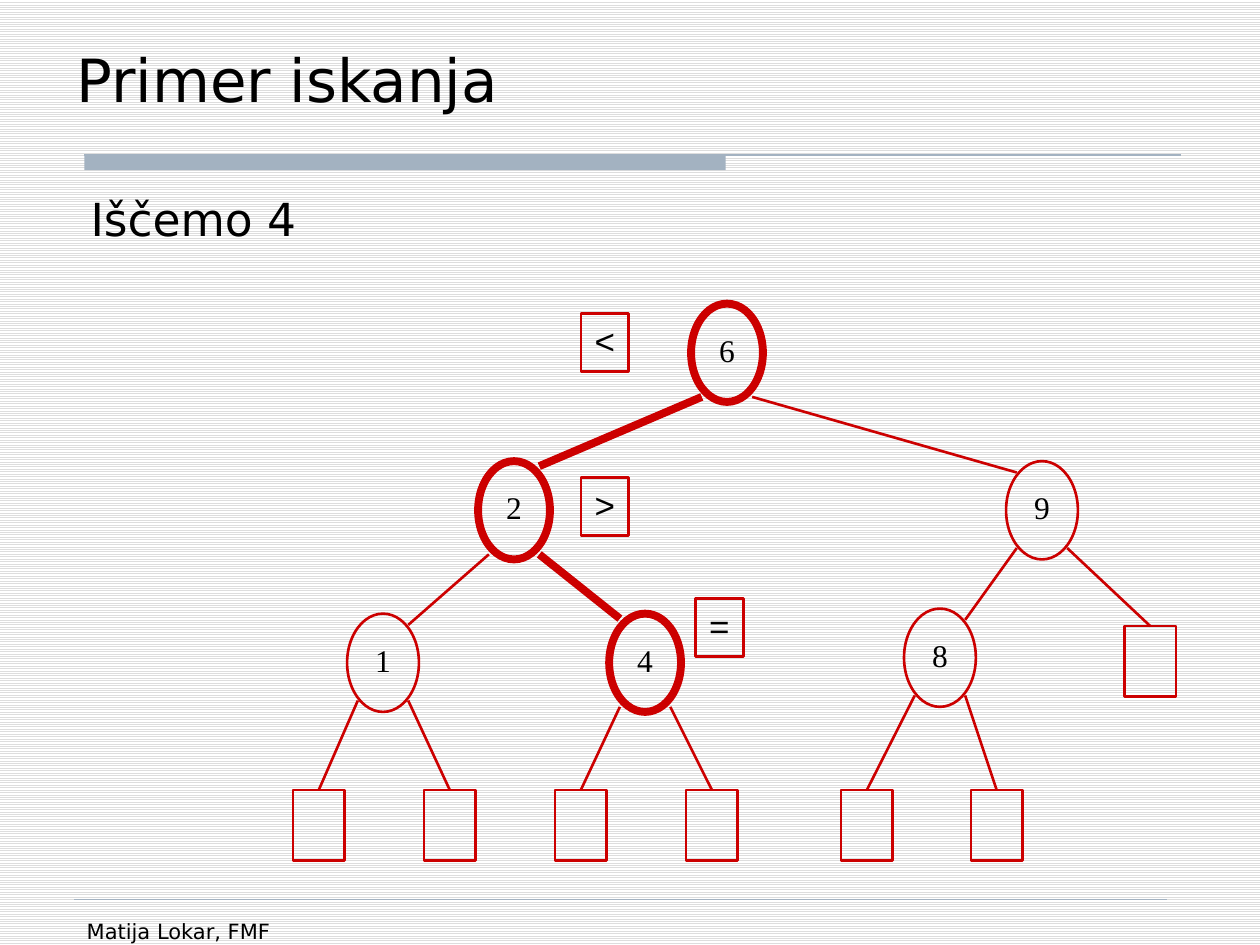
from lxml import etree
from pptx import Presentation
from pptx.dml.color import RGBColor
from pptx.enum.dml import MSO_PATTERN
from pptx.enum.shapes import MSO_CONNECTOR, MSO_SHAPE
from pptx.enum.text import MSO_ANCHOR, MSO_AUTO_SIZE, PP_ALIGN
from pptx.oxml.ns import qn
from pptx.util import Inches, Pt

COLORS = {
    "text": "000000",
    "tree": "CC0000",
    "rule": "A3B2C1",
    "stripe": "DDDDDD",
    "paper": "FFFFFF",
}
NODE_WIDTH, NODE_HEIGHT = 0.57, 0.78
LEAF_WIDTH, LEAF_HEIGHT = 0.41, 0.56
THIN, BOLD = 1.5, 4.5
EDGE_SIDE = 0.2                       # edge end, sideways from the node centre
EDGE_RISE = {THIN: 0.3, BOLD: 0.35}   # edge end, up or down from the node centre

# value: (centre x, centre y, on the search path)
NODES = {
    "6": (5.77, 2.8, True),
    "2": (4.08, 4.05, True),
    "9": (8.27, 4.05, False),
    "1": (3.04, 5.26, False),
    "4": (5.12, 5.26, True),
    "8": (7.46, 5.22, False),
}
# parent, child, side of the parent (-1 left, 1 right)
BRANCHES = [("6", "2", -1), ("6", "9", 1), ("2", "1", -1), ("2", "4", 1), ("9", "8", -1)]
# parent, side, leaf centre x, leaf top
LEAVES = [
    ("1", -1, 2.53, 6.27), ("1", 1, 3.57, 6.27),
    ("4", -1, 4.61, 6.27), ("4", 1, 5.65, 6.27),
    ("8", -1, 6.88, 6.27), ("8", 1, 7.91, 6.27),
    ("9", 1, 9.13, 4.97),
]
# sign, left, top
COMPARISONS = [("<", 4.61, 2.49), (">", 4.61, 3.79), ("=", 5.52, 4.75)]


class SlideBuilder:
    def __init__(self, slide):
        self.slide = slide
        self.shapes = slide.shapes

    def color(self, name):
        return RGBColor.from_string(COLORS[name])

    def background(self):
        fill = self.slide.background.fill
        fill.patterned()
        fill.pattern = MSO_PATTERN.LIGHT_HORIZONTAL
        fill.fore_color.rgb = self.color("stripe")
        fill.back_color.rgb = self.color("paper")

    def add_text(self, frame, text, size, font, align=PP_ALIGN.LEFT):
        paragraph = frame.paragraphs[0]
        paragraph.alignment = align
        run = paragraph.add_run()
        run.text = text
        run.font.size = Pt(size)
        run.font.name = font
        run.font.color.rgb = self.color("text")
        return paragraph

    def text_box(self, left, top, width, height, text, size, anchor=MSO_ANCHOR.TOP):
        box = self.shapes.add_textbox(Inches(left), Inches(top), Inches(width), Inches(height))
        frame = box.text_frame
        frame.word_wrap = True
        frame.vertical_anchor = anchor
        return self.add_text(frame, text, size, "DejaVu Sans")

    def bar(self, left, top, width, height):
        shape = self.shapes.add_shape(
            MSO_SHAPE.RECTANGLE, Inches(left), Inches(top), Inches(width), Inches(height))
        shape.shadow.inherit = False
        shape.fill.solid()
        shape.fill.fore_color.rgb = self.color("rule")
        shape.line.fill.background()

    def outline(self, kind, left, top, width, height, weight=THIN):
        shape = self.shapes.add_shape(
            kind, Inches(left), Inches(top), Inches(width), Inches(height))
        shape.shadow.inherit = False
        shape.fill.background()
        shape.line.color.rgb = self.color("tree")
        shape.line.width = Pt(weight)
        return shape

    def node(self, value, x, y, weight):
        shape = self.outline(MSO_SHAPE.OVAL, x - NODE_WIDTH / 2, y - NODE_HEIGHT / 2,
                             NODE_WIDTH, NODE_HEIGHT, weight)
        frame = shape.text_frame
        frame.margin_left = frame.margin_right = frame.margin_top = 0
        frame.word_wrap = False
        frame.vertical_anchor = MSO_ANCHOR.MIDDLE
        self.add_text(frame, value, 18, "Times New Roman", PP_ALIGN.CENTER)

    def leaf(self, x, top):
        return self.outline(MSO_SHAPE.RECTANGLE, x - LEAF_WIDTH / 2, top,
                            LEAF_WIDTH, LEAF_HEIGHT)

    def comparison(self, sign, left, top):
        frame = self.outline(MSO_SHAPE.RECTANGLE, left, top, 0.38, 0.46).text_frame
        frame.word_wrap = False
        frame.auto_size = MSO_AUTO_SIZE.SHAPE_TO_FIT_TEXT
        frame.vertical_anchor = MSO_ANCHOR.TOP
        self.add_text(frame, sign, 20, "Arial", PP_ALIGN.CENTER)

    def line(self, start, end, color, weight):
        connector = self.shapes.add_connector(
            MSO_CONNECTOR.STRAIGHT, *[Inches(value) for value in (*start, *end)])
        connector.line.color.rgb = self.color(color)
        connector.line.width = Pt(weight)
        properties = connector._element.find(qn("p:spPr"))
        etree.SubElement(properties, qn("a:effectLst"))
        return connector


def node_weight(value):
    return BOLD if NODES[value][2] else THIN


def edge_end(value, side, direction):
    """Point on a node's rim: side -1 left, 1 right; direction -1 up, 1 down."""
    x, y, _ = NODES[value]
    return x + side * EDGE_SIDE, y + direction * EDGE_RISE[node_weight(value)]


def main():
    presentation = Presentation()
    presentation.slide_width, presentation.slide_height = Inches(10), Inches(7.5)
    slide = presentation.slides.add_slide(presentation.slide_layouts[6])
    builder = SlideBuilder(slide)

    # Background and rules
    builder.background()
    builder.bar(0.67, 1.23, 5.09, 0.12)
    builder.line((0.67, 1.23), (9.37, 1.23), "rule", 0.75)
    builder.line((0.59, 7.14), (9.26, 7.14), "rule", 0.25)

    # Title, task and footer
    builder.text_box(0.51, 0.21, 8.75, 0.75, "Primer iskanja", 34, MSO_ANCHOR.BOTTOM)
    task = builder.text_box(0.62, 1.47, 8.75, 5.51, "Iščemo 4", 26)
    task.space_before = Pt(5.2)
    builder.text_box(0.59, 7.24, 2.17, 0.52, "Matija Lokar, FMF", 12)

    # Tree nodes and the branches between them
    for value, (x, y, _) in NODES.items():
        builder.node(value, x, y, node_weight(value))
    for parent, child, side in BRANCHES:
        weight = min(node_weight(parent), node_weight(child))
        builder.line(edge_end(parent, side, 1), edge_end(child, -side, -1), "tree", weight)

    # Empty leaves
    for parent, side, x, top in LEAVES:
        leaf = builder.leaf(x, top)
        branch = builder.line(edge_end(parent, side, 1), (x, top), "tree", THIN)
        branch.end_connect(leaf, 0)

    # Comparisons made along the search path
    for sign, left, top in COMPARISONS:
        builder.comparison(sign, left, top)

    presentation.save("out.pptx")


if __name__ == "__main__":
    main()
